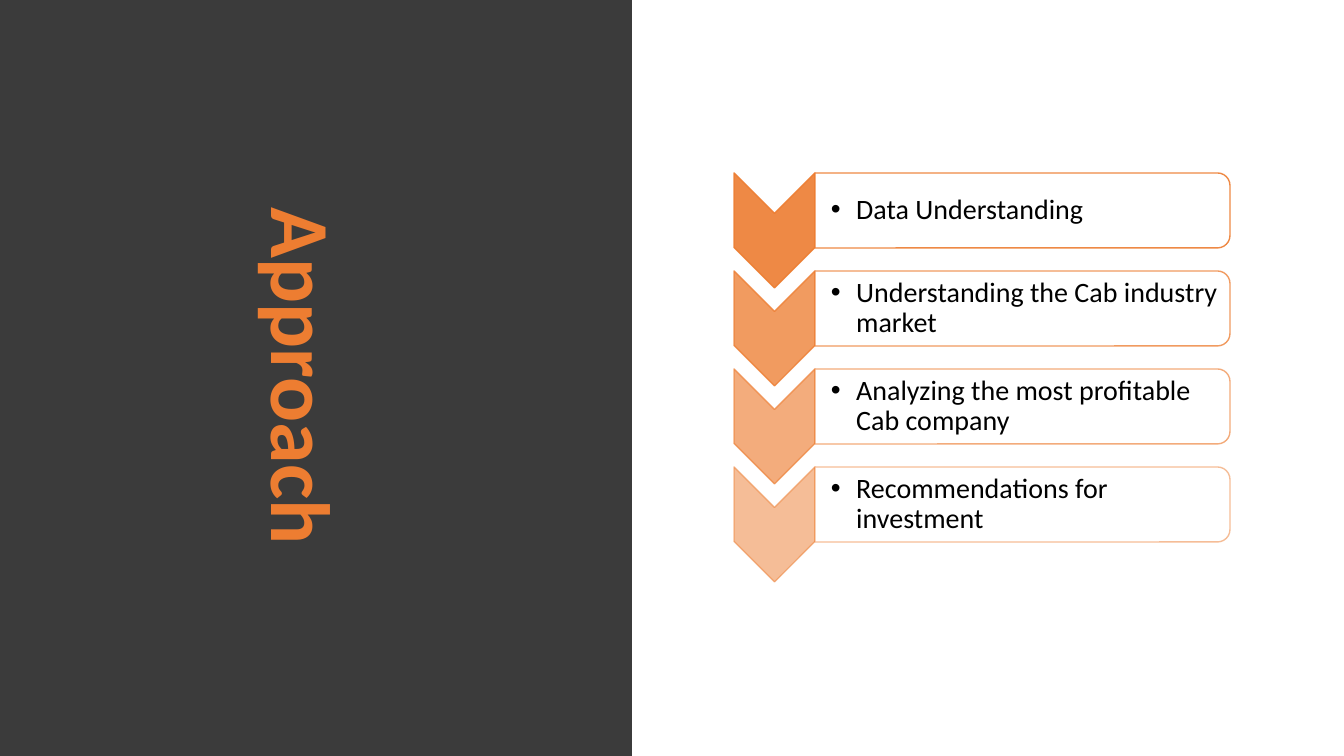
import pptx
import pptx.dml.color
import pptx.enum.shapes
import pptx.enum.text
import pptx.oxml.ns
import pptx.util
from lxml import etree

ORANGE = pptx.dml.color.RGBColor(0xED, 0x7D, 0x31)
CHARCOAL = pptx.dml.color.RGBColor(0x3B, 0x3B, 0x3B)
WHITE = pptx.dml.color.RGBColor(0xFF, 0xFF, 0xFF)
BLACK = pptx.dml.color.RGBColor(0x00, 0x00, 0x00)
SCALE = 914400 / 100.8
SHAPES = pptx.enum.shapes.MSO_SHAPE
STEP_PITCH = 98
STEPS = [
    ("Data Understanding", 90),
    ("Understanding the Cab industry market", 77),
    ("Analyzing the most profitable Cab company", 63),
    ("Recommendations for investment", 50),
]

presentation = pptx.Presentation()
presentation.slide_width = round(1344 * SCALE)
presentation.slide_height = round(756 * SCALE)
slide = presentation.slides.add_slide(presentation.slide_layouts[6])


def add_filled_shape(kind, box, color, opacity=100, line_opacity=None):
    shape = slide.shapes.add_shape(kind, *[round(length * SCALE) for length in box])
    shape.shadow.inherit = False
    shape.fill.solid()
    shape.fill.fore_color.rgb = color
    paints = [(shape.fill, opacity)]
    if line_opacity is None:
        shape.line.fill.background()
    else:
        shape.line.width = pptx.util.Pt(1)
        shape.line.fill.solid()
        shape.line.color.rgb = ORANGE
        paints.append((shape.line.fill, line_opacity))
    for paint, percent in paints:
        color_element = paint._xPr.find(".//" + pptx.oxml.ns.qn("a:srgbClr"))
        etree.SubElement(color_element, pptx.oxml.ns.qn("a:alpha"), val=str(percent * 1000))
    return shape


def add_text(box, text, frame_format, font_format, bullet=False):
    shape = slide.shapes.add_textbox(*[round(length * SCALE) for length in box])
    frame = shape.text_frame
    for name, value in frame_format.items():
        setattr(frame, name, value)
    paragraph = frame.paragraphs[0]
    paragraph.text = text
    if bullet:
        properties = paragraph._p.get_or_add_pPr()
        properties.set("marL", "228600")
        properties.set("indent", "-228600")
        etree.SubElement(properties, pptx.oxml.ns.qn("a:buFont"), typeface="Arial")
        etree.SubElement(properties, pptx.oxml.ns.qn("a:buChar"), char="•")
        paragraph.line_spacing = 0.9
    else:
        paragraph.alignment = pptx.enum.text.PP_ALIGN.CENTER
    font = paragraph.runs[0].font
    font.color.rgb = font_format["color"]
    for name in ("name", "size", "bold"):
        setattr(font, name, font_format[name])
    return shape


add_filled_shape(SHAPES.RECTANGLE, (0, 0, 632, 756), CHARCOAL)

inset = round(SCALE)
text_frame_format = {
    "word_wrap": True,
    "vertical_anchor": pptx.enum.text.MSO_ANCHOR.MIDDLE,
    "margin_left": inset,
    "margin_top": inset,
    "margin_right": inset,
    "margin_bottom": inset,
}
title_font = {"name": "Calibri", "size": pptx.util.Pt(60), "bold": True, "color": ORANGE}
step_font = {"name": "Calibri", "size": pptx.util.Pt(20), "bold": False, "color": BLACK}

title = add_text((95, 321, 420, 110), "Approach", text_frame_format, title_font)
title.rotation = 90

step_frame_format = {**text_frame_format, "margin_left": 16 * inset}
for index, (label, opacity) in enumerate(STEPS):
    offset = index * STEP_PITCH
    chevron = add_filled_shape(
        SHAPES.CHEVRON, (717, 190 + offset, 115, 81), ORANGE, opacity, opacity)
    chevron.rotation = 90
    frame = add_filled_shape(
        SHAPES.ROUND_2_SAME_RECTANGLE, (985, 3 + offset, 75, 415), WHITE, 90, opacity)
    frame.rotation = 90
    add_text((815, 177 + offset, 411, 67), label, step_frame_format, step_font, bullet=True)

presentation.save("out.pptx")
